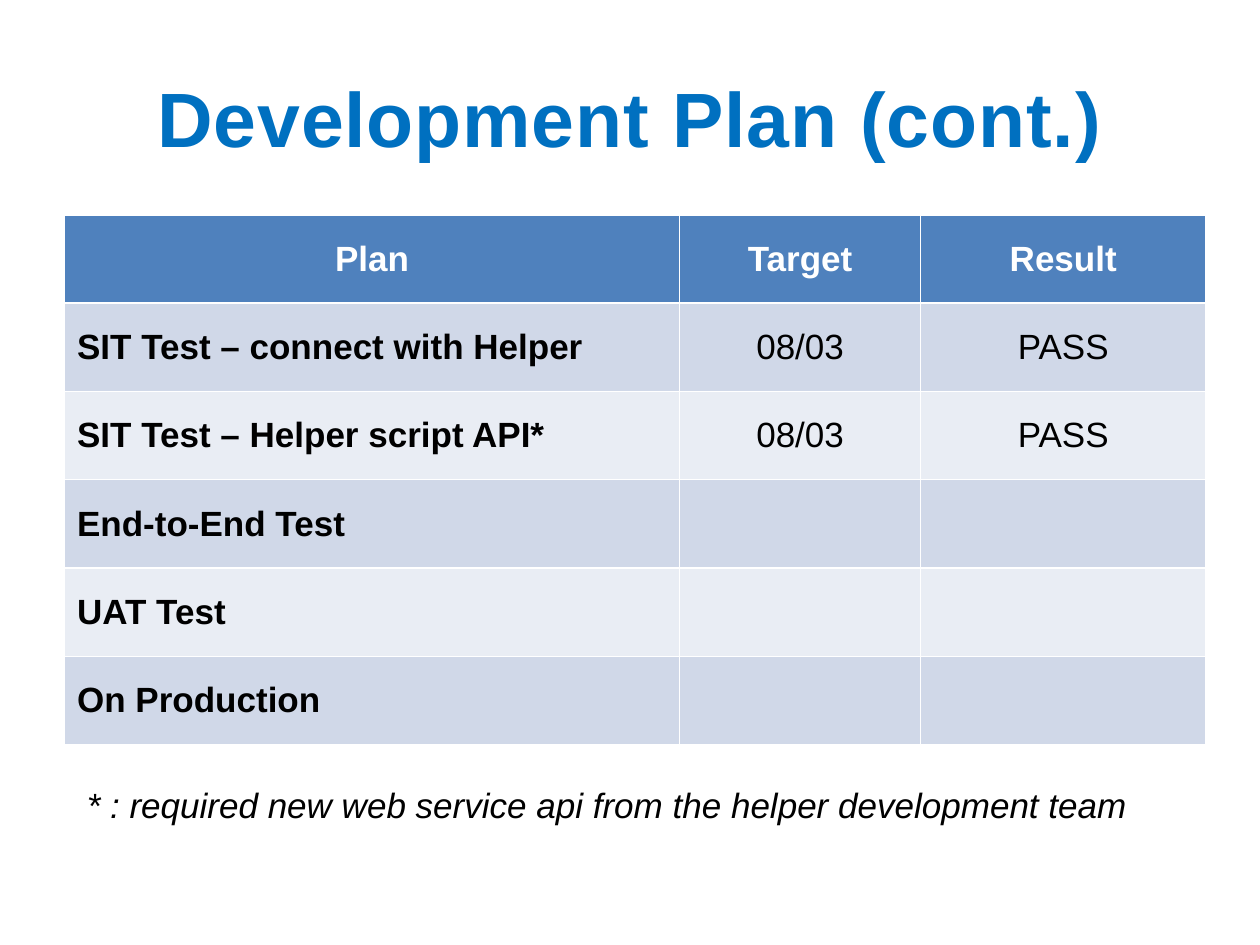
from dataclasses import dataclass

from pptx import Presentation
from pptx.dml.color import RGBColor
from pptx.enum.text import MSO_ANCHOR, PP_ALIGN
from pptx.util import Cm, Pt

LEFT, CENTER = PP_ALIGN.LEFT, PP_ALIGN.CENTER
MIDDLE = MSO_ANCHOR.MIDDLE


@dataclass(frozen=True)
class Theme:
    font: str = "Arial"
    title: str = "0070C0"
    head: str = "4F81BD"
    bands: tuple = ("D0D8E8", "E9EDF4")
    light: str = "FFFFFF"
    dark: str = "000000"
    big: int = 44
    body: int = 20


theme = Theme()


def write(frame, text, size, color, align=LEFT, bold=False, italic=False):
    """Add one styled run to the first paragraph of the frame."""
    para = frame.paragraphs[0]
    para.alignment = align
    run = para.add_run()
    run.text = text
    font = run.font
    font.name, font.size = theme.font, Pt(size)
    font.bold, font.italic = bold, italic
    font.color.rgb = RGBColor.from_string(color)
    return run


deck = Presentation()
deck.slide_width, deck.slide_height = Cm(25.4), Cm(19.05)
slide = deck.slides.add_slide(deck.slide_layouts[6])

# Title
title = slide.shapes.add_textbox(Cm(1.27), Cm(0.76), Cm(22.86), Cm(3.18)).text_frame
title.word_wrap = True
title.vertical_anchor = MIDDLE
run = write(title, "Development Plan (cont.)", theme.big, theme.title, CENTER, bold=True)
run.font._element.set("spc", "50")

# Plan table: the default table style draws the white rules
rows = [
    ("Plan", "Target", "Result"),
    ("SIT Test – connect with Helper", "08/03", "PASS"),
    ("SIT Test – Helper script API*", "08/03", "PASS"),
    ("End-to-End Test", "", ""),
    ("UAT Test", "", ""),
    ("On Production", "", ""),
]
widths = (12.4, 4.86, 5.75)
height = 1.78
table = slide.shapes.add_table(
    len(rows), len(widths), Cm(1.3), Cm(4.33), Cm(sum(widths)), Cm(height * len(rows))
).table
for col, width in zip(table.columns, widths):
    col.width = Cm(width)

for r, row in enumerate(rows):
    table.rows[r].height = Cm(height)
    head = r == 0
    fill = theme.head if head else theme.bands[(r - 1) % 2]
    color = theme.light if head else theme.dark
    for c, text in enumerate(row):
        cell = table.cell(r, c)
        cell.vertical_anchor = MIDDLE
        cell.fill.solid()
        cell.fill.fore_color.rgb = RGBColor.from_string(fill)
        if text:
            align = CENTER if head or c else LEFT
            write(cell.text_frame, text, theme.body, color, align, bold=head or c == 0)

# Footnote
note = slide.shapes.add_textbox(Cm(1.5), Cm(15.67), Cm(21.77), Cm(1.11)).text_frame
note.word_wrap = False
write(note, "* : required new web service api from the helper development team",
      theme.body, theme.dark, italic=True)

deck.save("out.pptx")
